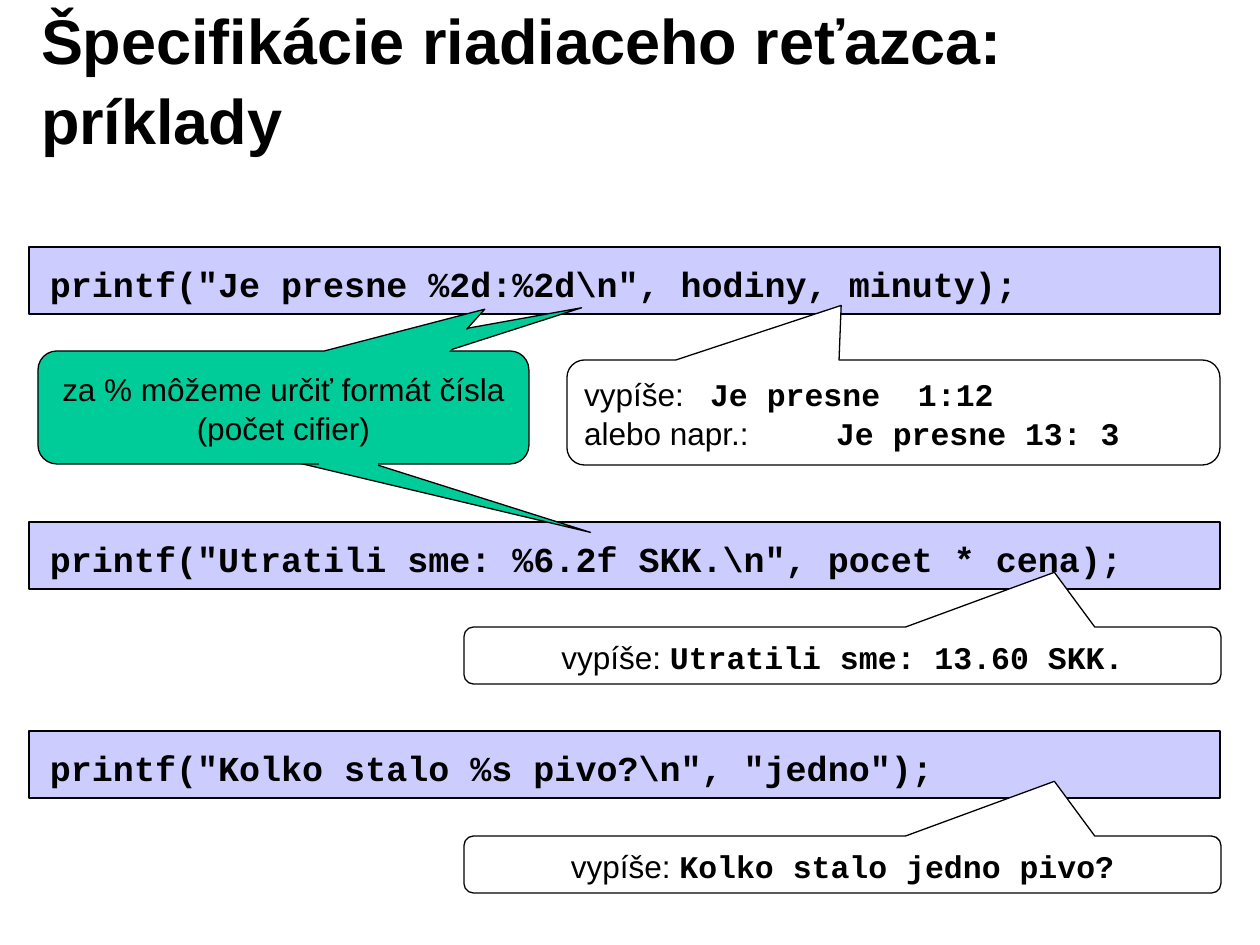
import pptx
import pptx.util
import pptx.dml.color
import pptx.enum.shapes
import pptx.enum.text
import lxml.etree

RGBColor = pptx.dml.color.RGBColor
BLACK = RGBColor(0x00, 0x00, 0x00)
WHITE = RGBColor(0xFF, 0xFF, 0xFF)
LILAC = RGBColor(0xCC, 0xCC, 0xFF)
GREEN = RGBColor(0x00, 0xCC, 0x99)

PX_PER_INCH = 126
SANS, MONO = "Arial", "Courier New"
LEFT = pptx.enum.text.PP_ALIGN.LEFT
CENTER = pptx.enum.text.PP_ALIGN.CENTER
SHAPES = pptx.enum.shapes.MSO_SHAPE


def px(length):
    return pptx.util.Emu(round(length * 914400 / PX_PER_INCH))


class SlideBuilder:
    def __init__(self, slide):
        self.slide = slide

    def style_font(self, font, name, size, bold=False):
        font.name, font.size, font.bold = name, pptx.util.Pt(size), bold
        font.color.rgb = BLACK

    def prepare_frame(self, frame, anchor):
        frame.word_wrap = True
        frame.auto_size = pptx.enum.text.MSO_AUTO_SIZE.NONE
        frame.vertical_anchor = anchor
        frame.margin_left = frame.margin_right = px(12)
        frame.margin_top = frame.margin_bottom = px(6)

    def add_tabs(self, paragraph):
        """Left tab stops one inch apart."""
        tabs = lxml.etree.SubElement(paragraph._p.get_or_add_pPr(),
                                     pptx.oxml.ns.qn("a:tabLst"))
        for inch in range(1, 8):
            lxml.etree.SubElement(tabs, pptx.oxml.ns.qn("a:tab"),
                                  pos=str(px(inch * PX_PER_INCH)), algn="l")

    def title(self, text, left, top, width, height):
        heading = self.slide.shapes.title
        heading.left, heading.top = px(left), px(top)
        heading.width, heading.height = px(width), px(height)
        self.prepare_frame(heading.text_frame, pptx.enum.text.MSO_ANCHOR.MIDDLE)
        heading.text_frame.text = text
        paragraph = heading.text_frame.paragraphs[0]
        paragraph.alignment = LEFT
        paragraph.line_spacing = 1.05
        self.style_font(paragraph.font, SANS, 36, bold=True)

    def shape(self, kind, left, top, width, height, fill):
        outline = self.slide.shapes.add_shape(kind, px(left), px(top), px(width), px(height))
        outline.shadow.inherit = False
        outline.fill.solid()
        outline.fill.fore_color.rgb = fill
        outline.line.color.rgb = BLACK
        outline.line.width = pptx.util.Pt(0.75)
        return outline

    def code(self, text, top):
        """A full-width bar with one line of code over it."""
        self.shape(SHAPES.RECTANGLE, 29, top, 1191, 67, LILAC)
        listing = self.slide.shapes.add_textbox(px(38), px(top + 9), px(1182), px(54))
        self.prepare_frame(listing.text_frame, pptx.enum.text.MSO_ANCHOR.MIDDLE)
        listing.text_frame.text = text
        self.style_font(listing.text_frame.paragraphs[0].font, MONO, 20, bold=True)

    def callout(self, left, top, width, height, tip, fill=WHITE, lines=(), align=CENTER):
        """A balloon; each line is a pair of plain text and printed output."""
        balloon = self.shape(SHAPES.ROUNDED_RECTANGULAR_CALLOUT, left, top, width, height, fill)
        for index, value in enumerate((*tip, 0.167)):
            balloon.adjustments[index] = value
        frame = balloon.text_frame
        self.prepare_frame(frame, pptx.enum.text.MSO_ANCHOR.MIDDLE)
        for index, (label, output) in enumerate(lines):
            paragraph = frame.add_paragraph() if index else frame.paragraphs[0]
            paragraph.alignment = align
            paragraph.line_spacing = 1.05
            self.add_tabs(paragraph)
            self.style_font(paragraph.font, SANS, 18)
            paragraph.add_run().text = label
            if output:
                printed = paragraph.add_run()
                printed.text = output
                self.style_font(printed.font, MONO, 18, bold=True)

    def seam(self, x1, y1, x2, y2):
        """A green line that hides the border between balloon and pointer."""
        line = self.slide.shapes.add_connector(
            pptx.enum.shapes.MSO_CONNECTOR.STRAIGHT, px(x1), px(y1), px(x2), px(y2))
        line.line.color.rgb = GREEN
        line.line.width = pptx.util.Pt(2.25)
        lxml.etree.SubElement(line._element.spPr, pptx.oxml.ns.qn("a:effectLst"))


def main():
    deck = pptx.Presentation()
    deck.slide_width, deck.slide_height = px(1260), px(945)
    page = SlideBuilder(deck.slides.add_slide(deck.slide_layouts[5]))

    page.title("Špecifikácie riadiaceho reťazca: príklady", 29, 19, 1012, 117)

    # Time example
    page.code('printf("Je presne %2d:%2d\\n", hodiny, minuty);', 247)
    page.callout(567, 360, 653, 105, (-0.08, -1.02), align=LEFT,
                 lines=[("vypíše: \t", "Je presne  1:12"),
                        ("alebo napr.: \t", "Je presne 13: 3")])

    # Price and beer examples
    examples = [
        (522, 'printf("Utratili sme: %6.2f SKK.\\n", pocet * cena);', "Utratili sme: 13.60 SKK."),
        (731, 'printf("Kolko stalo %s pivo?\\n", "jedno");', "Kolko stalo jedno pivo?"),
    ]
    for top, code, output in examples:
        page.code(code, top)
        page.callout(464, top + 105, 757, 57, (0.28, -1.46), lines=[("vypíše: ", output)])

    # Green balloon with three pointers
    page.callout(123, 357, 294, 105, (1.09, 1.17), GREEN)
    page.callout(48, 355, 464, 105, (0.65, -0.95), GREEN)
    page.callout(38, 351, 491, 113, (0.41, -0.87), GREEN,
                 lines=[("za % môžeme určiť formát čísla (počet cifier)", "")])
    page.seam(378, 465, 319, 465)
    page.seam(467, 330, 446, 352)

    deck.save("out.pptx")


if __name__ == "__main__":
    main()
